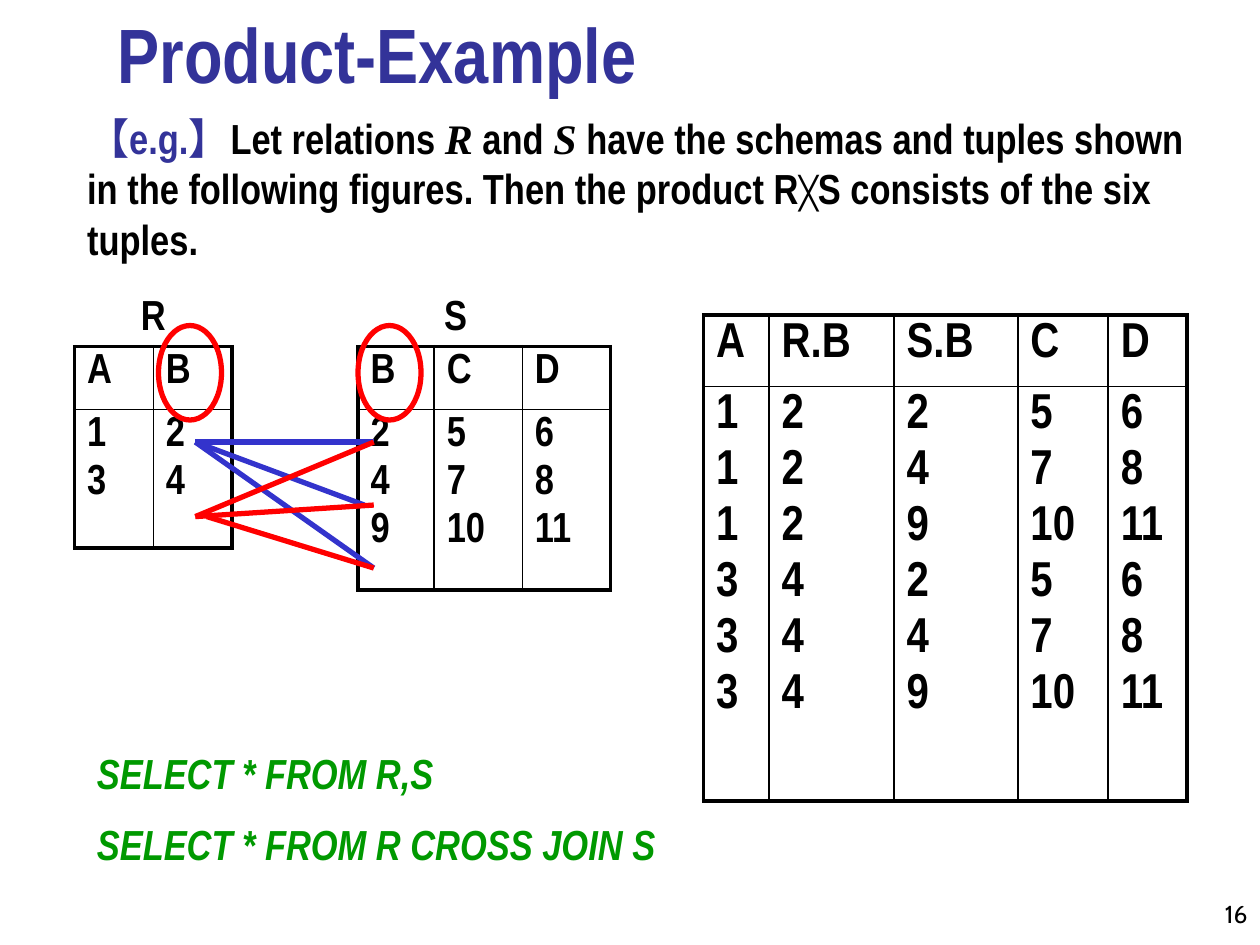
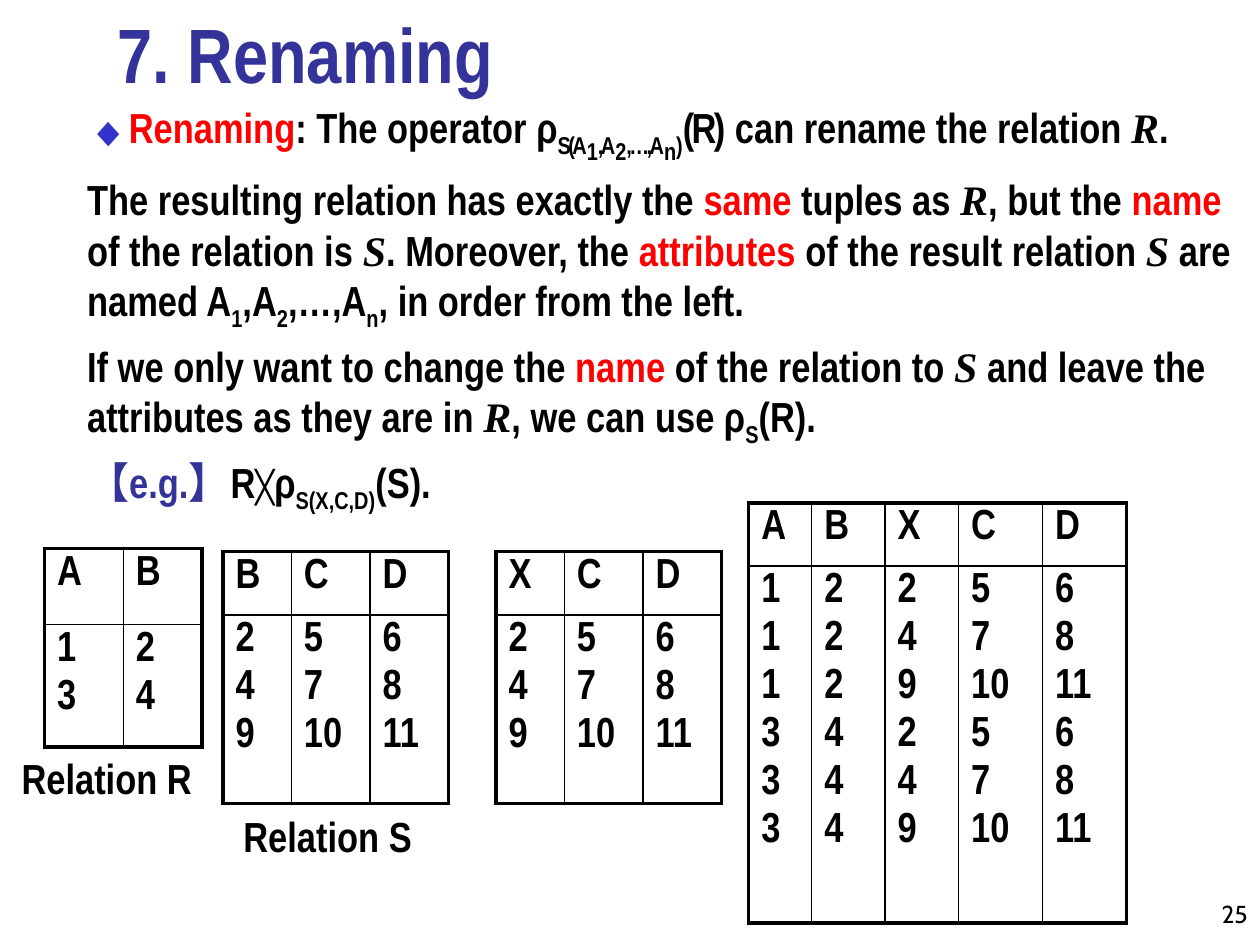
from itertools import product

from lxml.etree import SubElement as Sub
from pptx import Presentation
from pptx.dml.color import RGBColor
from pptx.enum.shapes import MSO_CONNECTOR as Wire, MSO_SHAPE as Form
from pptx.enum.text import MSO_ANCHOR as Anchor, MSO_AUTO_SIZE as Fit, PP_ALIGN as Align
from pptx.oxml.ns import qn
from pptx.util import Inches, Pt

SANS, SERIF, ROUND = "Arial Narrow", "Times New Roman", "Cabin"
INK, NAVY, BLUE, RED, GREEN = "000000", "333399", "3333CC", "FF0000", "009900"
DENSE = 0.94

LOOKS = {
    "red": {"hue": RED},
    "navy": {"hue": NAVY},
    "green": {"hue": GREEN, "slant": True},
    "var": {"face": SERIF, "slant": True},
    "small": {"size": 18},
    "head": {"hue": NAVY, "size": 44},
    "page": {"face": ROUND, "size": 14, "bold": False},
    "plain": {"size": 24},
    "big": {"size": 28},
    "sub": {"base": -25},
    "low": {"base": -40},
    "tight": {"gap": -1.5},
}

R = [(1, 2), (3, 4)]
S = [(2, 5, 6), (4, 7, 8), (9, 10, 11)]
CROSS = [left + right for left, right in product(R, S)]


def paint(hue):
    return RGBColor.from_string(hue)


def unit(count):
    return Inches(count / 12)


def spot(*counts):
    return [unit(count) for count in counts]


class Deck:
    """Holds the shared style and the current slide on a grid of 120 columns by 90 rows."""

    def __init__(self):
        self.file = Presentation()
        self.file.slide_width, self.file.slide_height = spot(120, 90)
        self.slide = None

    def page(self, title, number):
        self.slide = self.file.slides.add_slide(self.file.slide_layouts[1])
        head = self.slide.shapes.title
        self.place(head, (10, 1, 102.25, 9))
        head.text_frame.vertical_anchor = Anchor.BOTTOM
        self.fill(head.text_frame, [[(title, "head")]],
                  line=Pt(DENSE * LOOKS["head"]["size"]))
        self.label((112, 83, 8, 6), [[(number, "page")]], Align.RIGHT,
                   anchor=Anchor.BOTTOM)

    def place(self, shape, area):
        shape.left, shape.top, shape.width, shape.height = spot(*area)
        shape.text_frame.auto_size = Fit.NONE

    def run(self, para, text, *names):
        look = {"face": SANS, "size": 24, "hue": INK, "bold": True, "slant": False}
        for name in names:
            look.update(LOOKS[name])
        piece = para.add_run()
        piece.text = text
        font = piece.font
        font.name, font.size = look["face"], Pt(look["size"])
        font.bold, font.italic = look["bold"], look["slant"]
        font.color.rgb = paint(look["hue"])
        props = piece._r.get_or_add_rPr()
        if "base" in look:
            props.set("baseline", str(look["base"] * 1000))
        if "gap" in look:
            props.set("spc", str(int(look["gap"] * 100)))

    def fill(self, frame, paras, align=Align.LEFT, before=0, line=1.0):
        for rank, runs in enumerate(paras):
            para = frame.add_paragraph() if rank else frame.paragraphs[0]
            para.alignment, para.line_spacing = align, line
            para.space_before = Pt(before if rank else 0)
            for item in runs:
                self.run(para, *([item] if isinstance(item, str) else item))

    def label(self, area, paras, align=Align.LEFT, wrap=True, anchor=Anchor.TOP):
        box = self.slide.shapes.add_textbox(*spot(*area))
        box.text_frame.word_wrap = wrap
        box.text_frame.vertical_anchor = anchor
        self.fill(box.text_frame, paras, align, 12)

    def body(self, area, paras, mark=None):
        shape = self.slide.placeholders[1]
        self.place(shape, area)
        self.fill(shape.text_frame, paras, before=4.8)
        for rank, para in enumerate(shape.text_frame.paragraphs):
            props = para._p.get_or_add_pPr()
            dent = unit(3.95) if mark and rank == 0 else 0
            props.set("marL", str(dent))
            props.set("indent", str(-dent))
            if dent:
                Sub(Sub(props, qn("a:buClr")), qn("a:srgbClr"), val=BLUE)
                Sub(props, qn("a:buChar"), char=mark)
            else:
                Sub(props, qn("a:buNone"))

    def edge(self, cell, thick):
        props = cell._tc.get_or_add_tcPr()
        for side in "LRTB":
            width = Pt(2.25 if side in thick else 1)
            line = Sub(props, qn(f"a:ln{side}"), w=str(width))
            Sub(Sub(line, qn("a:solidFill")), qn("a:srgbClr"), val=INK)

    def table(self, left, top, names, rows, cols, highs, look="plain"):
        area = spot(left, top, sum(cols), sum(highs))
        grid = self.slide.shapes.add_table(2, len(cols), *area).table
        grid.first_row = grid.horz_banding = False
        for row, high in zip(grid.rows, highs):
            row.height = unit(high)
        size = LOOKS[look]["size"]
        last = len(cols) - 1
        for col, (name, *values) in enumerate(zip(names, *rows)):
            grid.columns[col].width = unit(cols[col])
            sides = "L" * (col == 0) + "R" * (col == last)
            for row, (texts, rim) in enumerate((([name], "T"), (values, "B"))):
                cell = grid.cell(row, col)
                self.edge(cell, sides + rim)
                cell.fill.background()
                self.fill(cell.text_frame, [[(str(text), look)] for text in texts],
                          before=0.2 * size, line=Pt(DENSE * size))

    def line(self, start, end, hue):
        wire = self.slide.shapes.add_connector(Wire.STRAIGHT, *spot(*start, *end))
        wire.line.color.rgb, wire.line.width = paint(hue), Pt(3)
        Sub(wire._element.spPr, qn("a:effectLst"))

    def ring(self, left, top):
        oval = self.slide.shapes.add_shape(Form.OVAL, *spot(left, top, 6, 9))
        oval.shadow.inherit = False
        oval.fill.background()
        oval.line.color.rgb, oval.line.width = paint(RED), Pt(3)


def cross(deck):
    deck.page("Product-Example", "16")
    deck.body((7.1, 10.1, 110.5, 15.7), [[
        ("【e.g.】", "navy"), "Let relations ", ("R", "var"), " and ", ("S", "var"),
        " have the schemas and tuples shown in the following figures."
        " Then the product R", ("╳", "small"), "S consists of the six tuples."]])
    deck.table(7.1, 33, "AB", R, [7.5] * 2, (6, 13.2))
    deck.table(34.1, 33, "BCD", S, (7.25, 8.4, 8.4), (6, 17.2))
    deck.table(67, 30, ("A", "R.B", "S.B", "C", "D"), CROSS,
               (6.25, 11.9, 11.8, 8.6, 7.5), (6.8, 39.5), "big")
    for left, name in ((12.2, "R"), (41, "S")):
        deck.label((left, 26.9, 4.8, 6), [[name]], Align.CENTER, wrap=False)
    ends = [(35.6, 42.1), (34.7, 48.1), (35.6, 54.1)]
    for end in ends:
        deck.line((18.6, 42.1), end, BLUE)
    for left, (_, low) in zip((18.6, 18.6, 19.7), ends):
        deck.line((left, 49.2), (35.6, low), RED)
    for left in (15.1, 34.1):
        deck.ring(left, 31)
    deck.label((8.05, 70.6, 57.6, 13.2), [
        [("SELECT * FROM R,S", "green")],
        [("SELECT * FROM R CROSS JOIN S", "green")]])


def rename(deck):
    deck.page("7. Renaming", "25")
    sub, low = ("tight", "sub"), ("tight", "low")
    deck.body((7.1, 9.1, 112.4, 38), [
        [("Renaming", "red"), ": The operator ", ("ρ", "tight"), ("S(A", *sub),
         ("1", *low), (",A", *sub), ("2", *low), (",…,A", *sub), ("n", *low),
         (")", *sub), ("(R)", "tight"), " can rename the relation ", ("R", "var"), "."],
        ["The resulting relation has exactly the ", ("same", "red"), " tuples as ",
         ("R", "var"), ", but the ", ("name", "red"), " of the relation is ",
         ("S", "var"), ". Moreover, the ", ("attributes", "red"),
         " of the result relation ", ("S", "var"), " are named A", ("1", "sub"),
         ",A", ("2", "sub"), ",…,A", ("n", "sub"), ", in order from the left."],
        ["If we only want to change the ", ("name", "red"), " of the relation to ",
         ("S", "var"), " and leave the attributes as they are in ", ("R", "var"),
         ", we can use ρ", ("S", "sub"), "(R)."],
        [("【e.g.】", "navy"), "R", ("╳", "small"), "ρ", ("S(X,C,D)", "sub"), "(S)."],
    ], "◆")
    deck.table(4.25, 52.25, "AB", R, [7.5] * 2, (7.2, 11.7))
    for left, names in ((21.25, "BCD"), (47.25, "XCD")):
        deck.table(left, 52.55, names, S, (6.5, 7.5, 7.5), (6, 18))
    deck.table(71.3, 47.9, "ABXCD", CROSS, (6, 7, 7, 8, 8), (6, 34))
    deck.label((0.87, 71.1, 22.2, 6), [["Relation R"]])
    deck.label((22, 76.6, 23.9, 6), [["Relation S"]])


def main():
    deck = Deck()
    cross(deck)
    rename(deck)
    deck.file.save("out.pptx")


if __name__ == "__main__":
    main()
